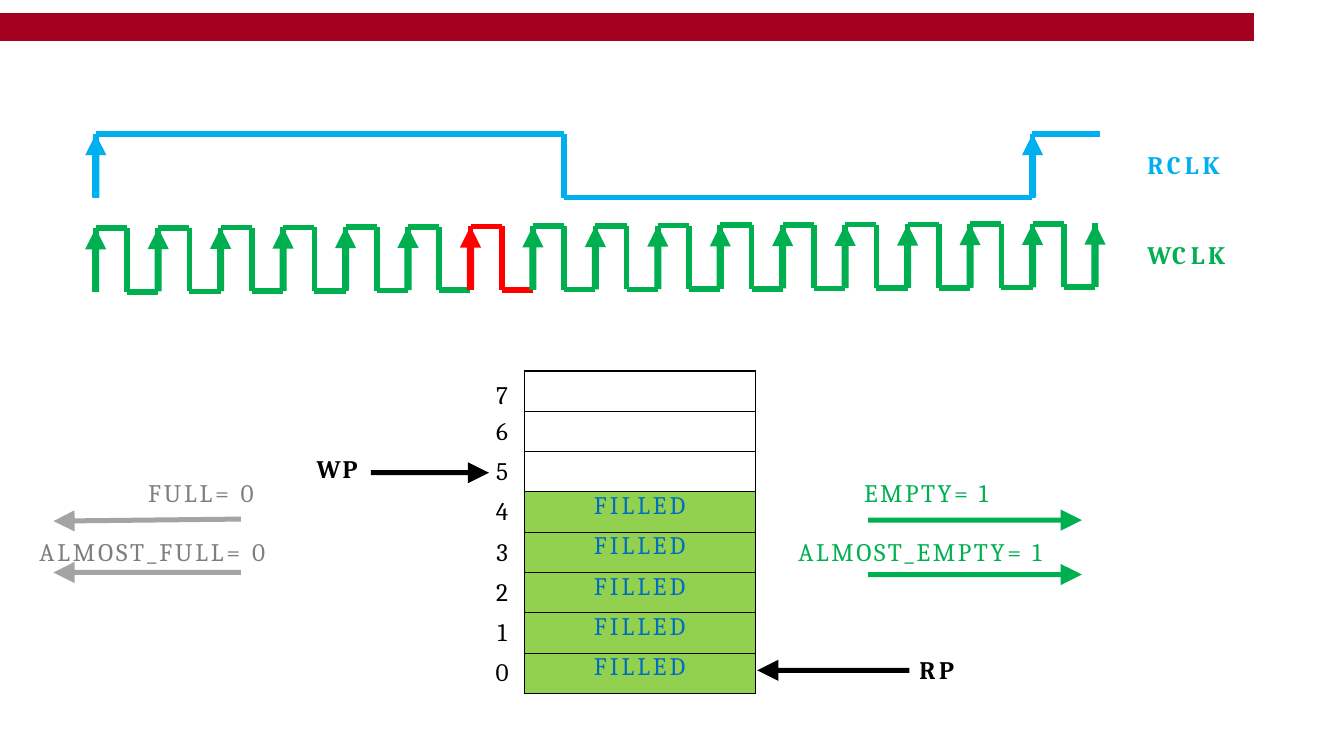
import math

from lxml import etree
from pptx import Presentation
from pptx import util as u
from pptx.dml.color import RGBColor
from pptx.enum import text
from pptx.oxml.ns import qn

COLORS = {"bar": "A40020", "read": "00AFEF", "write": "00AF50", "mark": "FF0000",
          "filled": "92D050", "filled_text": "006FC0", "black": "000000",
          "arrow_off": "A4A4A4", "text_off": "7E7E7E"}
FONT, SIZE = "Cambria", u.Pt(18)
NO_STYLE = "{2D5ABB26-0587-4C30-8999-92F81FD0307C}"

# Clock grid: sixteen write periods span one read period
LEFT, PERIOD, CYCLES, MARKED = 0.95, 0.6194, 16, 6
SWING, DRIFT = 0.63, 0.003
READ_TOP, WRITE_TOP = 1.33, 2.265

# Buffer grid
SLOTS, FILLED, ROW = 8, 5, 0.4
BUFFER_LEFT, BUFFER_TOP, BUFFER_WIDTH = 5.2, 3.68, 2.29


def rgb(name):
    return RGBColor.from_string(COLORS[name])


def outline(s, contours, closed):
    """Build one freeform from several lists of points in inches."""
    points = [[(u.Inches(x), u.Inches(y)) for x, y in c] for c in contours]
    builder = s.shapes.build_freeform(*points[0][0])
    for i, contour in enumerate(points):
        if i:
            builder.move_to(*contour[0])
        builder.add_line_segments(contour[1:], close=closed)
    sp = builder.convert_to_shape()
    sp.shadow.inherit = False
    return sp


def strokes(s, segments, color):
    sp = outline(s, segments, False)
    sp.fill.background()
    sp.line.color.rgb = rgb(color)
    sp.line.width = u.Pt(4)


def solid(s, contours, color):
    sp = outline(s, contours, True)
    sp.fill.solid()
    sp.fill.fore_color.rgb = rgb(color)
    sp.line.fill.background()


def arrow_points(tail, tip, shaft, head=0.21):
    """Outline of an arrow from tail to tip."""
    (x0, y0), (x1, y1) = tail, tip
    length = math.dist(tail, tip)
    dx, dy = (x1 - x0) / length, (y1 - y0) / length
    neck = length - head
    profile = [(0, shaft / 2), (neck, shaft / 2), (neck, head / 2), (length, 0),
               (neck, -head / 2), (neck, -shaft / 2), (0, -shaft / 2)]
    return [(x0 + a * dx - b * dy, y0 + a * dy + b * dx) for a, b in profile]


def arrows(s, ends, color, shaft=0.05):
    solid(s, [arrow_points(tail, tip, shaft) for tail, tip in ends], color)


def rise(i):
    x, top = LEFT + i * PERIOD, WRITE_TOP - i * DRIFT
    return [(x, top + SWING), (x, top)]


def cycle(i):
    """High level, falling edge and low level of one write period."""
    (x, low), (_, high) = rise(i)
    mid, end = x + PERIOD / 2, x + PERIOD
    return [[(x, high), (mid, high)], [(mid, low), (mid, high)], [(mid, low), (end, low)]]


def write_clock(s):
    runs = [(range(MARKED), "write"), ([MARKED], "mark"),
            (range(MARKED + 1, CYCLES), "write")]
    for steps, color in runs:
        segments = [seg for i in steps for seg in [rise(i)] + cycle(i)]
        edges = [rise(i) for i in steps]
        if steps[-1] == CYCLES - 1:
            segments.append(rise(CYCLES))
            edges.append(rise(CYCLES))
        strokes(s, segments, color)
        arrows(s, edges, color, 0.07)


def read_clock(s):
    top, low = READ_TOP, READ_TOP + SWING
    end = LEFT + 15 * PERIOD
    mid = (LEFT + end) / 2
    strokes(s, [[(LEFT, low), (LEFT, top)], [(LEFT, top), (mid, top)],
                [(mid, low), (mid, top)], [(mid, low), (end, low)],
                [(end, low), (end, top)], [(end, top), (10.91, top)]], "read")
    arrows(s, [((x, low), (x, top)) for x in (LEFT, end)], "read", 0.07)


def write_runs(p, runs, color, bold=False):
    p.font.name, p.font.size, p.font.bold = FONT, SIZE, bold
    p.font.color.rgb = rgb(color)
    for words, spacing in runs:
        r = p.add_run()
        r.text = words
        r.font.name, r.font.size, r.font.bold = FONT, SIZE, bold
        r.font.color.rgb = rgb(color)
        r._r.get_or_add_rPr().set("spc", str(round(spacing * 100)))


def label(s, x, y, w, h, lines, bold=False):
    """Text box; each line is (runs, colour, space before in points)."""
    tf = s.shapes.add_textbox(*map(u.Inches, (x, y, w, h))).text_frame
    tf.word_wrap = True
    tf.margin_left = tf.margin_right = tf.margin_bottom = 0
    tf.margin_top = u.Inches(0.01)
    for i, (runs, color, before) in enumerate(lines):
        p = tf.add_paragraph() if i else tf.paragraphs[0]
        p.space_before = u.Pt(before)
        p._p.get_or_add_pPr().set("marL", str(u.Inches(0.01)))
        write_runs(p, runs, color, bold)


def borders(cell):
    tc_pr = cell._tc.get_or_add_tcPr()
    for side in ("a:lnL", "a:lnR", "a:lnT", "a:lnB"):
        ln = etree.SubElement(tc_pr, qn(side), w=str(u.Pt(0.96)))
        fill = etree.SubElement(ln, qn("a:solidFill"))
        etree.SubElement(fill, qn("a:srgbClr"), val=COLORS["black"])


def column_table(s, x, y, w, heights, margin_top=0):
    """Plain one-column table; returns its cells from top to bottom."""
    frame = s.shapes.add_table(len(heights), 1, *map(u.Inches, (x, y, w, sum(heights))))
    table = frame.table
    table.first_row = table.horz_banding = False
    table._tbl.tblPr.find(qn("a:tableStyleId")).text = NO_STYLE
    for row, height in zip(table.rows, heights):
        row.height = u.Inches(height)
    cells = [row.cells[0] for row in table.rows]
    for cell in cells:
        cell.margin_left = cell.margin_right = cell.margin_bottom = 0
        cell.margin_top = u.Inches(margin_top)
        cell.text_frame.paragraphs[0].alignment = text.PP_ALIGN.CENTER
    return cells


def buffer(s):
    # Slots
    slots = column_table(s, BUFFER_LEFT, BUFFER_TOP, BUFFER_WIDTH, [ROW] * SLOTS)
    for i, cell in enumerate(slots):
        borders(cell)
        if i < SLOTS - FILLED:
            cell.fill.background()
            continue
        cell.fill.solid()
        cell.fill.fore_color.rgb = rgb("filled")
        p = cell.text_frame.paragraphs[0]
        p.space_before = u.Pt(3.5)
        write_runs(p, [("FILLED", 2.2)], "filled_text")
    # Slot numbers
    heights = [0.35] + [ROW] * (SLOTS - 2) + [0.35]
    for i, cell in enumerate(column_table(s, 4.77, 3.74, 0.42, heights, 0.05)):
        cell.fill.background()
        p = cell.text_frame.paragraphs[0]
        p.space_before = u.Pt(3.3 if i else 0)
        write_runs(p, [(str(SLOTS - 1 - i), 0)], "black")


def main():
    prs = Presentation()
    prs.slide_width, prs.slide_height = u.Inches(13.33), u.Inches(7.5)
    s = prs.slides.add_slide(prs.slide_layouts[6])

    # Clocks and top bar
    write_clock(s)
    read_clock(s)
    solid(s, [[(0, 0.13), (12.44, 0.13), (12.44, 0.41), (0, 0.41)]], "bar")
    label(s, 11.37, 1.47, 0.85, 1.8,
          [([("RCLK", 2.9)], "read", 1),
           ([("W", 0.4), ("C", 3.5), ("LK", 2.6)], "write", 42.6)], True)

    # Buffer with its pointers
    buffer(s)
    arrows(s, [((3.68, 4.69), (4.85, 4.69))], "black")
    arrows(s, [((9.02, 6.65), (7.51, 6.65))], "black")
    label(s, 3.13, 4.49, 0.47, 0.61, [([("WP", 1.5)], "black", 1)], True)
    label(s, 9.11, 6.48, 0.42, 0.61, [([("RP", 2.6)], "black", 1)], True)

    # Status flags: name, value, spacing, text box, arrow
    flags = [("EMPTY= ", "1", 1.8, (8.56, 4.73, 1.31), (8.61, 5.16), (10.73, 5.16)),
             ("ALMOST_EMPTY= ", "1", 1.9, (7.91, 5.31, 2.54), (8.61, 5.7), (10.73, 5.7)),
             ("FULL= ", "0", 2.1, (1.46, 4.73, 1.09), (2.39, 5.15), (0.53, 5.17)),
             ("ALMOST_FULL= ", "0", 2.1, (0.38, 5.31, 2.32), (2.39, 5.68), (0.53, 5.68))]
    for name, value, spacing, box, tail, tip in flags:
        on = value == "1"
        arrows(s, [(tail, tip)], "write" if on else "arrow_off")
        label(s, *box, 0.61, [([(name, spacing), (value, 0)],
                               "write" if on else "text_off", 1)])

    prs.save("out.pptx")


if __name__ == "__main__":
    main()
